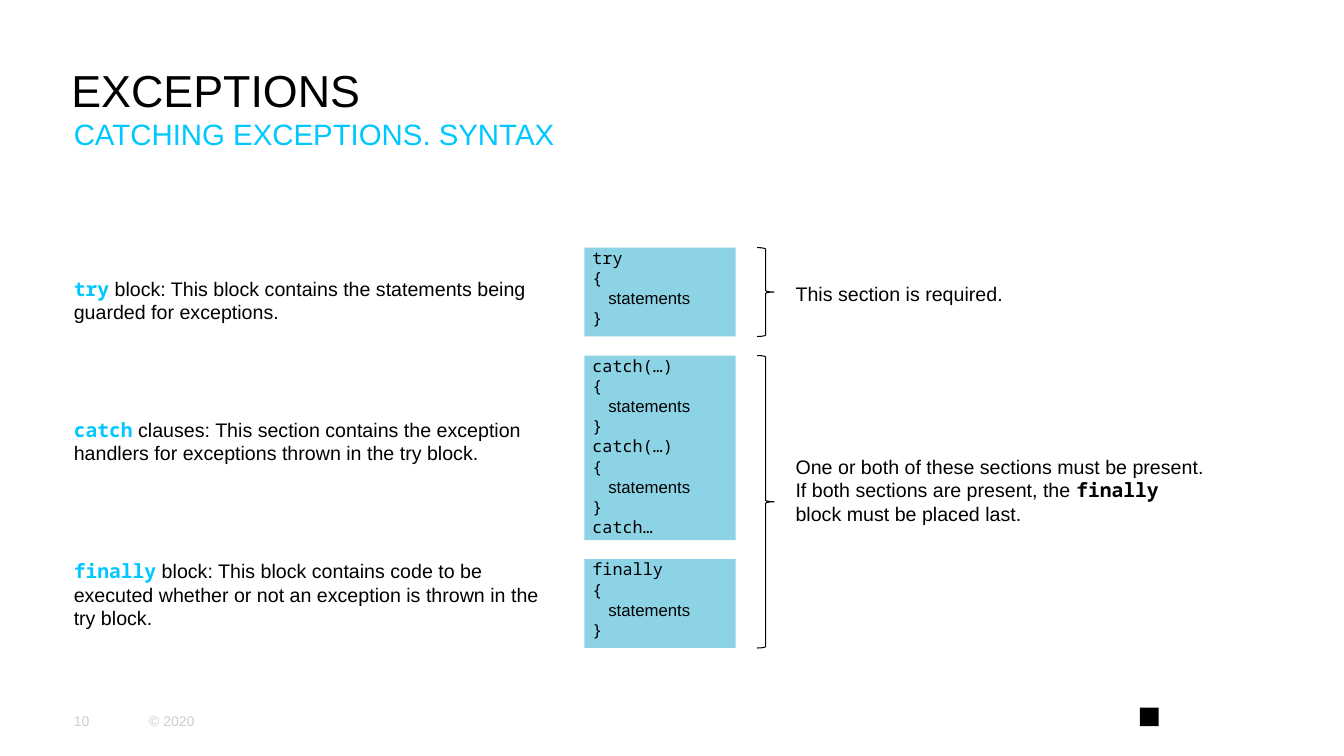
import pptx
import pptx.dml.color
import pptx.enum.shapes
import pptx.enum.text
import pptx.util

Cm = pptx.util.Cm
Pt = pptx.util.Pt
ANCHOR = pptx.enum.text.MSO_ANCHOR
SHAPE = pptx.enum.shapes.MSO_SHAPE

SANS, MONO = "Arial", "Noto Sans Mono"
BLACK, CYAN, PALE_BLUE, GREY = "000000", "00C8FF", "8CD4E5", "CCCCCC"

TITLE = "EXCEPTIONS"
SUBTITLE = "CATCHING EXCEPTIONS. SYNTAX"
PAGE_NUMBER = "10"
COPYRIGHT = "© 2020"

BODY = ["{", "statements", "}"]
# keyword, its description, lines of code, height of the code block in cm
SECTIONS = [
    ("try", " block: This block contains the statements being guarded for exceptions.",
     ["try", *BODY], 2.24),
    ("catch", " clauses: This section contains the exception handlers for exceptions "
     "thrown in the try block.",
     ["catch(…)", *BODY, "catch(…)", *BODY, "catch…"], 4.65),
    ("finally", " block: This block contains code to be executed whether or not an "
     "exception is thrown in the try block.",
     ["finally", *BODY], 2.24),
]
# first and last section spanned, pieces of the note (text, is keyword), top and width in cm
NOTES = [
    (0, 0, [("This section is required.", False)], 7.11, 7.24),
    (1, 2, [("One or both of these sections must be present. If both sections are present, the ",
             False), ("finally", True), (" block must be placed last.", False)], 11.46, 10.31),
]

MARGIN = 1.86
DESCRIPTION_TOP, DESCRIPTION_PITCH, DESCRIPTION_WIDTH = 6.97, 3.56, 12.37
CODE_LEFT, CODE_TOP, CODE_WIDTH, CODE_GAP = 14.73, 6.24, 3.81, 0.48
BRACE_LEFT, BRACE_WIDTH = 19.08, 0.43
NOTE_LEFT = 20.05
EMBLEM_LEFT, EMBLEM_TOP, EMBLEM_SIDE = 28.73, 17.83, 0.47
LEADING = 1.2

deck = pptx.Presentation()
deck.slide_width, deck.slide_height = Cm(33.87), Cm(19.05)
slide = deck.slides.add_slide(deck.slide_layouts[6])


def rgb(value):
    return pptx.dml.color.RGBColor.from_string(value)


def add_run(paragraph, text, size=14, font=SANS, color=BLACK, bold=False):
    run = paragraph.add_run()
    run.text = text
    run.font.size = Pt(size)
    run.font.name = font
    run.font.bold = bold
    run.font.color.rgb = rgb(color)


def clear_frame(shape, anchor=ANCHOR.TOP):
    """Remove the insets, wrap the text and return the text frame."""
    frame = shape.text_frame
    frame.margin_left = frame.margin_right = frame.margin_top = frame.margin_bottom = 0
    frame.word_wrap = True
    frame.vertical_anchor = anchor
    return frame


def add_text(left, top, width, height, pieces, anchor=ANCHOR.TOP, leading=None):
    """Add one paragraph made of (text, format) pieces; leading is in points."""
    box = slide.shapes.add_textbox(Cm(left), Cm(top), Cm(width), Cm(height))
    paragraph = clear_frame(box, anchor).paragraphs[0]
    if leading:
        paragraph.line_spacing = Pt(leading)
    for text, style in pieces:
        add_run(paragraph, text, **style)


def add_rectangle(left, top, width, height, fill):
    rectangle = slide.shapes.add_shape(
        SHAPE.RECTANGLE, Cm(left), Cm(top), Cm(width), Cm(height))
    rectangle.shadow.inherit = False
    rectangle.fill.solid()
    rectangle.fill.fore_color.rgb = rgb(fill)
    rectangle.line.fill.background()
    return rectangle


def add_code(top, height, lines):
    frame = clear_frame(add_rectangle(CODE_LEFT, top, CODE_WIDTH, height, PALE_BLUE))
    for index, line in enumerate(lines):
        paragraph = frame.add_paragraph() if index else frame.paragraphs[0]
        is_body = line == "statements"
        paragraph.alignment = pptx.enum.text.PP_ALIGN.LEFT
        paragraph.line_spacing = Pt(12 * LEADING)
        properties = paragraph._p.get_or_add_pPr()
        properties.set("marL", str(Cm(0.6 if is_body else 0.2)))
        properties.set("indent", "0")
        add_run(paragraph, line, size=12, font=SANS if is_body else MONO)


def add_brace(top, bottom):
    brace = slide.shapes.add_shape(
        SHAPE.RIGHT_BRACE, Cm(BRACE_LEFT), Cm(top), Cm(BRACE_WIDTH), Cm(bottom - top))
    brace.shadow.inherit = False
    brace.fill.background()
    brace.line.color.rgb = rgb(BLACK)
    brace.line.width = Pt(0.75)


add_text(1.8, 0.01, 30.23, 2.92, [(TITLE, {"size": 32})], anchor=ANCHOR.BOTTOM)
add_text(MARGIN, 2.92, 30.15, 1.12, [(SUBTITLE, {"size": 21, "color": CYAN})],
         leading=21 * LEADING)

spans = []
code_top = CODE_TOP
for index, (keyword, description, code, height) in enumerate(SECTIONS):
    add_text(MARGIN, DESCRIPTION_TOP + index * DESCRIPTION_PITCH, DESCRIPTION_WIDTH, 1.8,
             [(keyword, {"font": MONO, "color": CYAN, "bold": True}), (description, {})],
             leading=14 * LEADING)
    add_code(code_top, height, code)
    spans.append((code_top, code_top + height))
    code_top += height + CODE_GAP

for first, last, note, top, width in NOTES:
    add_brace(spans[first][0], spans[last][1])
    add_text(NOTE_LEFT, top, width, 1.27 * len(note),
             [(text, {"font": MONO, "bold": True} if is_keyword else {})
              for text, is_keyword in note],
             leading=14 * LEADING)

for left, width, footer in [(MARGIN, 1.88, PAGE_NUMBER), (3.76, 2.74, COPYRIGHT)]:
    add_text(left, 17.65, width, 1.02, [(footer, {"size": 10, "color": GREY})],
             anchor=ANCHOR.MIDDLE)
add_rectangle(EMBLEM_LEFT, EMBLEM_TOP, EMBLEM_SIDE, EMBLEM_SIDE, BLACK)

deck.save("out.pptx")
